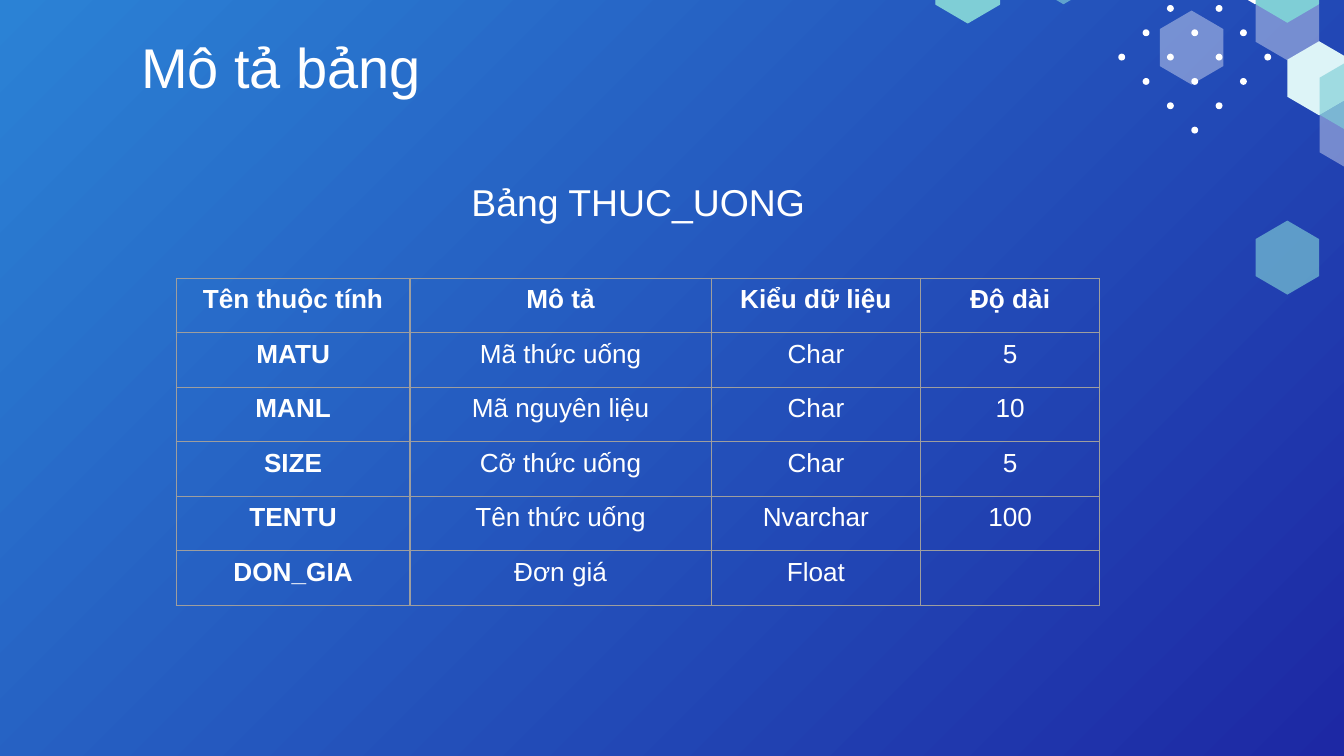
from itertools import product

from lxml.etree import SubElement
from pptx import Presentation
from pptx.dml.color import RGBColor
from pptx.enum.shapes import MSO_SHAPE as Shape
from pptx.enum.text import MSO_ANCHOR as Anchor, PP_ALIGN as Align
from pptx.oxml import parse_xml
from pptx.oxml.ns import nsdecls, qn
from pptx.util import Cm, Pt

WHITE = RGBColor(0xFF, 0xFF, 0xFF)
TEAL = RGBColor(0x7F, 0xCE, 0xD6)
ICE = RGBColor(0xDD, 0xF4, 0xF7)
GREY = RGBColor(0x9E, 0x9E, 0x9E)
BLUE = RGBColor(0x2B, 0x82, 0xD5)
NAVY = RGBColor(0x1D, 0x28, 0xA4)

HEXAGONS = [
    (24.33, 0.44, WHITE, 38),
    (23.72, -0.62, WHITE, 100),
    (20.1, -0.62, TEAL, 65),
    (24.93, 1.48, ICE, 100),
    (25.54, 2.53, WHITE, 38),
    (22.52, 0.9, WHITE, 38),
    (24.33, -0.27, TEAL, 100),
    (18.29, -0.27, TEAL, 100),
    (25.54, 1.82, TEAL, 65),
    (24.33, 4.87, TEAL, 65),
]
OUTLINED = (18.29, -0.27)

ROWS = [
    ("Tên thuộc tính", "Mô tả", "Kiểu dữ liệu", "Độ dài"),
    ("MATU", "Mã thức uống", "Char", "5"),
    ("MANL", "Mã nguyên liệu", "Char", "10"),
    ("SIZE", "Cỡ thức uống", "Char", "5"),
    ("TENTU", "Tên thức uống", "Nvarchar", "100"),
    ("DON_GIA", "Đơn giá", "Float", ""),
]
COLUMN_WIDTHS = (4.42, 5.69, 3.96, 3.38)


class Deck:
    font = "Arial"
    color = WHITE

    def __init__(self, width, height):
        self.prs = Presentation()
        self.prs.slide_width, self.prs.slide_height = Cm(width), Cm(height)
        self.slide = self.prs.slides.add_slide(self.prs.slide_layouts[6])
        self.shapes = self.slide.shapes

    def background(self, start, end):
        fill = self.slide.background.fill
        fill.gradient()
        fill.gradient_angle = 315
        for stop, color, position in zip(fill.gradient_stops, (start, end), (0, 1)):
            stop.color.rgb = color
            stop.position = position

    def paint(self, sp, color, opacity=100):
        sp.shadow.inherit = False
        sp.fill.solid()
        sp.fill.fore_color.rgb = color
        sp.line.fill.background()
        if opacity < 100:
            clr = sp._element.spPr.find(qn("a:solidFill"))[0]
            SubElement(clr, qn("a:alpha")).set("val", str(opacity * 1000))

    def dot(self, x, y, size):
        sp = self.shapes.add_shape(
            Shape.OVAL, Cm(x - size / 2), Cm(y - size / 2), Cm(size), Cm(size))
        self.paint(sp, self.color)

    def hexagon(self, x, y, color, opacity, outlined=False):
        dx, dy = 0.6, 0.7
        corners = [(0, -dy), (dx, -dy / 2), (dx, dy / 2),
                   (0, dy), (-dx, dy / 2), (-dx, -dy / 2)]
        points = [(Cm(x + cx), Cm(y + cy)) for cx, cy in corners]
        builder = self.shapes.build_freeform(*points[0])
        builder.add_line_segments(points[1:])
        sp = builder.convert_to_shape()
        self.paint(sp, color, opacity)
        if outlined:
            sp.line.color.rgb = color
            sp.line.width = Pt(0.75)

    def set_text(self, tf, text, size, bold=False):
        tf.text = text
        p = tf.paragraphs[0]
        p.alignment = Align.CENTER
        for r in p.runs:
            r.font.name, r.font.size, r.font.bold = self.font, Pt(size), bold
            r.font.color.rgb = self.color

    def text(self, text, x, y, width, height, size):
        tf = self.shapes.add_textbox(Cm(x), Cm(y), Cm(width), Cm(height)).text_frame
        tf.word_wrap = True
        tf.vertical_anchor = Anchor.BOTTOM
        tf.margin_left = tf.margin_right = Cm(0.25)
        tf.margin_top = tf.margin_bottom = Cm(0.25)
        self.set_text(tf, text, size)

    def border(self, cell):
        tc_pr = cell._tc.get_or_add_tcPr()
        for i, side in enumerate(("lnL", "lnR", "lnT", "lnB")):
            tc_pr.insert(i, parse_xml(
                f'<a:{side} {nsdecls("a")} w="{Pt(0.75)}"><a:solidFill>'
                f'<a:srgbClr val="{GREY}"/></a:solidFill></a:{side}>'))

    def table(self, rows, x, y, widths, row_height, size):
        table = self.shapes.add_table(
            len(rows), len(widths), Cm(x), Cm(y),
            Cm(sum(widths)), Cm(row_height * len(rows))).table
        table.first_row = table.horz_banding = False
        for column, width in zip(table.columns, widths):
            column.width = Cm(width)
        for i, row in enumerate(rows):
            table.rows[i].height = Cm(row_height)
            for j, text in enumerate(row):
                cell = table.cell(i, j)
                cell.fill.background()
                self.border(cell)
                self.set_text(cell.text_frame, text, size, bold=i == 0 or j == 0)


def main():
    deck = Deck(25.4, 14.29)
    deck.background(BLUE, NAVY)
    for i, j in product(range(-3, 4), repeat=2):
        if abs(i) + abs(j) <= 3 and (i + j) % 2 and j > -3:
            deck.dot(22.58 + 0.46 * i, 1.08 + 0.46 * j, 0.13)
    for x, y, color, opacity in HEXAGONS:
        deck.hexagon(x, y, color, opacity, outlined=(x, y) == OUTLINED)
    deck.text("Mô tả bảng", 1.24, 0.56, 8.15, 1.57, 30)
    deck.table(ROWS, 3.33, 5.26, COLUMN_WIDTHS, 1.03, 14)
    deck.text("Bảng THUC_UONG", 4.7, 2.92, 14.73, 1.57, 20)
    deck.prs.save("out.pptx")


if __name__ == "__main__":
    main()
